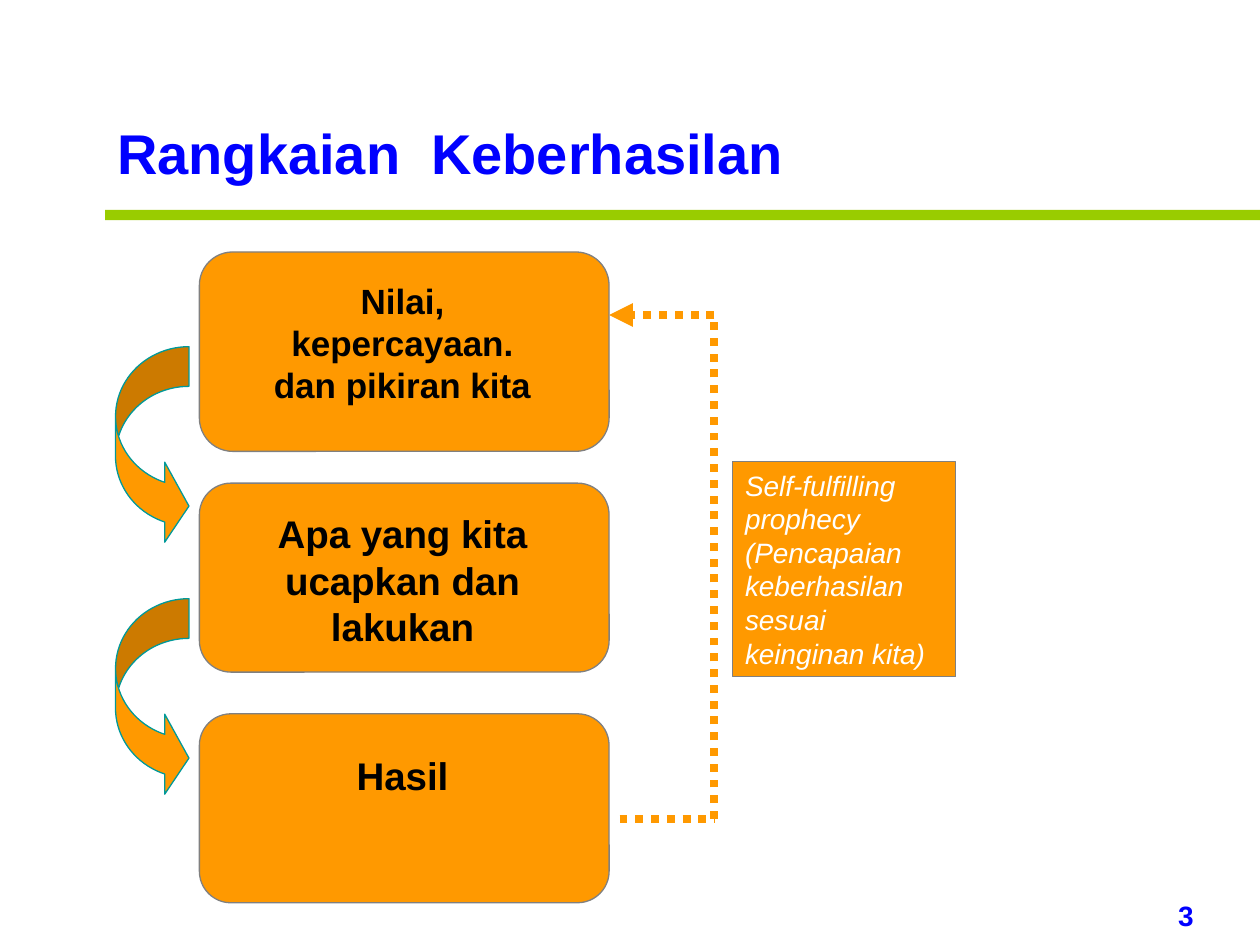
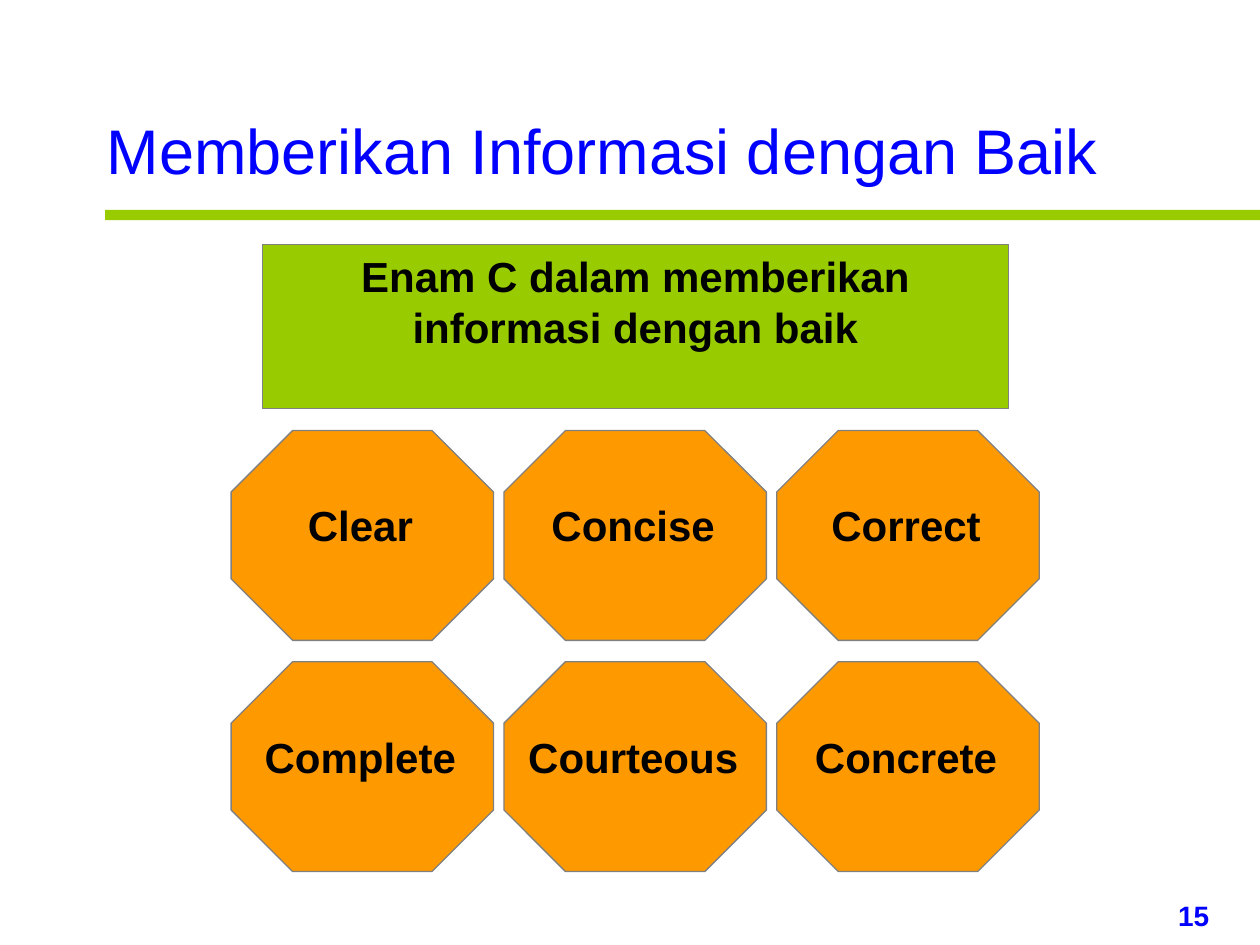
from lxml.etree import SubElement
from pptx import Presentation
from pptx.enum.shapes import MSO_CONNECTOR, MSO_SHAPE as Shape
from pptx.enum.text import MSO_ANCHOR as Anchor, PP_ALIGN as Align
from pptx.dml.color import RGBColor
from pptx.oxml.ns import qn
from pptx.util import Cm, Pt

BLUE, GREEN, ORANGE = "0000FF", "99CC00", "FF9900"
GREY, TEAL, BLACK, WHITE = "808080", "009999", "000000", "FFFFFF"
LABEL = {"bold": True}
MARGINS = {"margin_left": Cm(0.25), "margin_right": Cm(0.25),
           "margin_top": Cm(0.13), "margin_bottom": Cm(0.13),
           "word_wrap": True, "vertical_anchor": Anchor.TOP}


def paint(fill, colour):
    fill.solid()
    fill.fore_color.rgb = RGBColor.from_string(colour)


def write(box, text, size, colour, style, align=Align.LEFT):
    frame = box.text_frame
    for name, value in MARGINS.items():
        setattr(frame, name, value)
    para = frame.paragraphs[0]
    para.alignment = align
    span = para.add_run()
    span.text = text
    for name, value in {"name": "Arial", "size": Pt(size), **style}.items():
        setattr(span.font, name, value)
    paint(span.font.fill, colour)


deck = Presentation()
deck.slide_width, deck.slide_height = Cm(25.4), Cm(19.05)

headings = [
    ("Rangkaian  Keberhasilan", "3", 32, True, 2.11, 2.26),
    ("Memberikan Informasi dengan Baik", "15", 36, False, 1.9, 2.11),
]
pages = []
for heading, number, size, bold, left, top in headings:
    page = deck.slides.add_slide(deck.slide_layouts[5])
    pages.append(page)
    title = page.shapes.title
    title.left, title.top, title.width, title.height = Cm(left), Cm(top), Cm(22), Cm(1.75)
    write(title, heading, size, BLUE, {"bold": bold})
    corner = page.shapes.add_textbox(Cm(23.5), Cm(17.98), Cm(1.7), Cm(0.95))
    write(corner, number, 16, BLUE, LABEL)
chain, six = pages

step_left, step_width = 4.02, 8.26
steps = [
    (5.08, 4.02, 5.5, "Nilai, kepercayaan. dan pikiran kita", 20),
    (9.74, 3.81, 10.16, "Apa yang kita ucapkan dan lakukan", 22),
    (14.39, 3.81, 15.03, "Hasil", 22),
]
note = "Self-fulfilling prophecy (Pencapaian keberhasilan sesuai keinginan kita)"
banner = "Enam C dalam memberikan informasi dengan baik"
words = ["Clear", "Concise", "Correct", "Complete", "Courteous", "Concrete"]
cell_width, cell_height = 5.29, 4.23
cells = [(4.66 + 5.5 * (i % 3), 8.68 + 4.66 * (i // 3), word) for i, word in enumerate(words)]

blocks = [(page, Shape.RECTANGLE, (2.12, 4.23, 23.28, 0.21), GREEN, None, []) for page in pages]
blocks += [(chain, Shape.ROUNDED_RECTANGLE, (step_left, top, step_width, height), ORANGE, GREY, [0.167])
           for top, height, *_ in steps]
blocks += [(chain, Shape.CURVED_RIGHT_ARROW, (2.33, top, 1.48, 4.02), ORANGE, TEAL, [0.54, 1.09, 0.33])
           for top in (6.99, 12.07)]
blocks += [(six, Shape.OCTAGON, (left, top, cell_width, cell_height), ORANGE, GREY, [0.293])
           for left, top, _ in cells]
blocks += [
    (chain, Shape.RECTANGLE, (14.77, 9.31, 4.5, 4.33), ORANGE, GREY, []),
    (six, Shape.RECTANGLE, (5.29, 4.93, 15.04, 3.3), GREEN, GREY, []),
]
for page, kind, place, fill, outline, adjustments in blocks:
    box = page.shapes.add_shape(kind, *map(Cm, place))
    box.shadow.inherit = False
    paint(box.fill, fill)
    for index, value in enumerate(adjustments):
        box.adjustments[index] = value
    if outline:
        paint(box.line.fill, outline)
        box.line.width = Pt(0.75)
    else:
        box.line.fill.background()

write(chain.shapes[-1], note, 16, WHITE, {"italic": True})
write(six.shapes[-1], banner, 24, BLACK, LABEL, Align.CENTER)

labels = [(chain, (5.08, top, 6.07, 2.8), text, size) for _, _, top, text, size in steps]
labels += [(six, (left - 0.04, top + 1.27, cell_width, 1.27), word, 24) for left, top, word in cells]
for page, place, text, size in labels:
    box = page.shapes.add_textbox(*map(Cm, place))
    write(box, text, size, BLACK, LABEL, Align.CENTER)

route = [(12.49, 16.51), (14.4, 16.51), (14.4, 6.35), (12.28, 6.35)]
for start, end in zip(route, route[1:]):
    link = chain.shapes.add_connector(MSO_CONNECTOR.STRAIGHT, *map(Cm, start + end))
    paint(link.line.fill, ORANGE)
    link.line.width = Pt(4.5)
    stroke = link.line.fill._xPr
    SubElement(stroke, qn("a:prstDash"), val="sysDot")
    if end == route[-1]:
        SubElement(stroke, qn("a:tailEnd"), type="triangle")
    SubElement(stroke.getparent(), qn("a:effectLst"))

deck.save("out.pptx")
